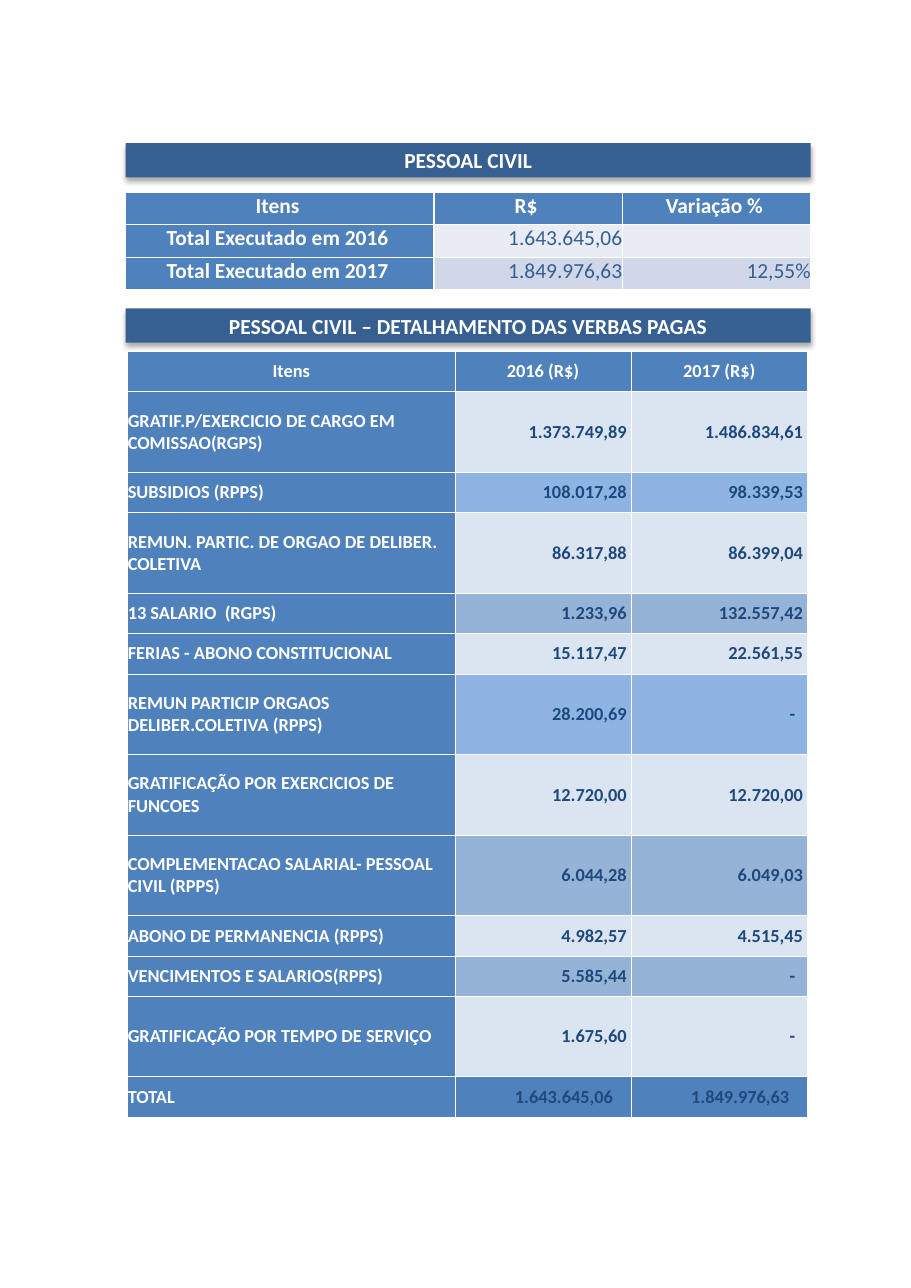
from lxml import etree
from pptx import Presentation
from pptx.dml.color import RGBColor
from pptx.enum.shapes import MSO_SHAPE
from pptx.enum.text import MSO_ANCHOR, MSO_AUTO_SIZE, PP_ALIGN
from pptx.oxml import parse_xml
from pptx.oxml.ns import nsdecls, qn
from pptx.util import Inches, Pt

RECTANGLE = MSO_SHAPE.RECTANGLE
TOP, MIDDLE = MSO_ANCHOR.TOP, MSO_ANCHOR.MIDDLE
LEFT, CENTER, RIGHT = PP_ALIGN.LEFT, PP_ALIGN.CENTER, PP_ALIGN.RIGHT
NO_AUTOFIT = MSO_AUTO_SIZE.NONE

FONT = "Calibri"
TITLE_ONLY_LAYOUT = 5
COLORS = {
    "banner": "376092",
    "white": "FFFFFF",
    "shadow": "000000",
    "summary_label": "4F81BC",
    "summary_light": "E9ECF4",
    "summary_dark": "D0D7E8",
    "summary_value": "365F91",
    "label": "4F81BD",
    "light": "DBE5F1",
    "sky": "8DB4E3",
    "steel": "95B3D7",
    "value": "1F497D",
}

SUMMARY_ROWS = [
    ("Total Executado em 2016", "1.643.645,06", "", "summary_light"),
    ("Total Executado em 2017", "1.849.976,63", "12,55%", "summary_dark"),
]
DETAIL_ROWS = [
    ("GRATIF.P/EXERCICIO DE CARGO EM COMISSAO(RGPS)", "1.373.749,89", "1.486.834,61", "light", 2),
    ("SUBSIDIOS (RPPS)", "108.017,28", "98.339,53", "sky", 1),
    ("REMUN. PARTIC. DE ORGAO DE DELIBER. COLETIVA", "86.317,88", "86.399,04", "light", 2),
    ("13 SALARIO  (RGPS)", "1.233,96", "132.557,42", "steel", 1),
    ("FERIAS - ABONO CONSTITUCIONAL", "15.117,47", "22.561,55", "light", 1),
    ("REMUN PARTICIP ORGAOS DELIBER.COLETIVA (RPPS)", "28.200,69", "-", "sky", 2),
    ("GRATIFICAÇÃO POR EXERCICIOS DE FUNCOES", "12.720,00", "12.720,00", "light", 2),
    ("COMPLEMENTACAO SALARIAL- PESSOAL CIVIL (RPPS)", "6.044,28", "6.049,03", "steel", 2),
    ("ABONO DE PERMANENCIA (RPPS)", "4.982,57", "4.515,45", "light", 1),
    ("VENCIMENTOS E SALARIOS(RPPS)", "5.585,44", "-", "steel", 1),
    ("GRATIFICAÇÃO POR TEMPO DE SERVIÇO", "1.675,60", "-", "light", 2),
]


def rgb(name):
    return RGBColor.from_string(COLORS[name])


def set_attributes(target, values):
    for name, value in values.items():
        setattr(target, name, value)


def write_text(text_frame, text, size, color, align, bold=True):
    paragraph = text_frame.paragraphs[0]
    paragraph.alignment = align
    if not text:
        etree.SubElement(paragraph._p, qn("a:endParaRPr"), sz=str(size * 100))
        return
    run = paragraph.add_run()
    run.text = text
    set_attributes(run.font, {"name": FONT, "size": Pt(size), "bold": bold})
    run.font.color.rgb = rgb(color)


def format_banner(shape, box, text):
    for name, value in zip(("left", "top", "width", "height"), box):
        setattr(shape, name, Inches(value))
    shape.fill.solid()
    shape.fill.fore_color.rgb = rgb("banner")
    shape.line.fill.background()
    shape._element.spPr.append(parse_xml(
        f'<a:effectLst {nsdecls("a")}><a:outerShdw blurRad="{Pt(3.5)}" dist="{Pt(2.2)}" '
        f'dir="5400000" rotWithShape="0"><a:srgbClr val="{COLORS["shadow"]}">'
        '<a:alpha val="32000"/></a:srgbClr></a:outerShdw></a:effectLst>'))
    set_attributes(shape.text_frame, {
        "auto_size": NO_AUTOFIT, "word_wrap": True, "vertical_anchor": MIDDLE,
        "margin_top": 0, "margin_bottom": 0,
    })
    write_text(shape.text_frame, text, 14, "white", CENTER)


def add_grid(slide, box, column_widths, row_heights, border):
    left, top, width, height = map(Inches, box)
    frame = slide.shapes.add_table(len(row_heights), len(column_widths), left, top, width, height)
    table = frame.table
    set_attributes(table, {"first_row": False, "horz_banding": False})
    for column, column_width in zip(table.columns, column_widths):
        column.width = Inches(column_width)
    for row, row_height in zip(table.rows, row_heights):
        row.height = Inches(row_height)
    for cell in table.iter_cells():
        properties = cell._tc.get_or_add_tcPr()
        for side in "LRTB":
            properties.append(parse_xml(
                f'<a:ln{side} {nsdecls("a")} w="{Pt(border)}"><a:solidFill>'
                f'<a:srgbClr val="{COLORS["white"]}"/></a:solidFill></a:ln{side}>'))
    return table


def fill_cell(cell, text, fill, size, color, align, anchor, bold=True, indent=0, padding=0):
    set_attributes(cell, {
        "margin_left": Inches(indent), "margin_right": Inches(padding),
        "margin_top": 0, "margin_bottom": 0, "vertical_anchor": anchor,
    })
    cell.fill.solid()
    cell.fill.fore_color.rgb = rgb(fill)
    write_text(cell.text_frame, text, size, color, align, bold)


def add_summary_table(slide, box):
    table = add_grid(slide, box, [2.8, 1.71, 1.71], [0.29, 0.3, 0.29], 1)
    for column, heading in enumerate(("Itens", "R$", "Variação %")):
        fill_cell(table.cell(0, column), heading, "summary_label", 14, "white", CENTER, TOP,
                  padding=0.04)
    for row, (label, *values, fill) in enumerate(SUMMARY_ROWS, 1):
        fill_cell(table.cell(row, 0), label, "summary_label", 14, "white", CENTER, TOP,
                  padding=0.04)
        for column, value in enumerate(values, 1):
            fill_cell(table.cell(row, column), value, fill, 14, "summary_value", RIGHT, TOP,
                      bold=False)


def add_detail_table(slide, box):
    units = [1] + [row[-1] for row in DETAIL_ROWS] + [1]
    unit_height = box[3] / sum(units)
    table = add_grid(slide, box, [2.97, 1.6, 1.6], [unit * unit_height for unit in units], 0.5)
    for column, heading in enumerate(("Itens", "2016 (R$)", "2017 (R$)")):
        fill_cell(table.cell(0, column), heading, "label", 12, "white", CENTER, MIDDLE)
    for row, (label, *values, fill, _) in enumerate(DETAIL_ROWS, 1):
        fill_cell(table.cell(row, 0), label, "label", 12, "white", LEFT, MIDDLE)
        for column, value in enumerate(values, 1):
            fill_cell(table.cell(row, column), value, fill, 12, "value", RIGHT, MIDDLE,
                      padding=0.11 if value == "-" else 0.04)
    total_row = len(units) - 1
    fill_cell(table.cell(total_row, 0), "TOTAL", "label", 12, "white", LEFT, MIDDLE)
    for column, summary in enumerate(SUMMARY_ROWS, 1):
        fill_cell(table.cell(total_row, column), summary[1], "label", 12, "value", CENTER, MIDDLE,
                  indent=0.38)


def main():
    presentation = Presentation()
    set_attributes(presentation, {"slide_width": Inches(8.27), "slide_height": Inches(11.69)})
    slide = presentation.slides.add_slide(presentation.slide_layouts[TITLE_ONLY_LAYOUT])
    format_banner(slide.shapes.title, (1.14, 1.3, 6.22, 0.31), "PESSOAL CIVIL")
    detail_banner = slide.shapes.add_shape(RECTANGLE, 0, 0, 0, 0)
    format_banner(detail_banner, (1.14, 2.8, 6.22, 0.31),
                  "PESSOAL CIVIL – DETALHAMENTO DAS VERBAS PAGAS")
    add_summary_table(slide, (1.14, 1.75, 6.22, 0.88))
    add_detail_table(slide, (1.16, 3.19, 6.17, 6.95))
    presentation.save("out.pptx")


if __name__ == "__main__":
    main()
